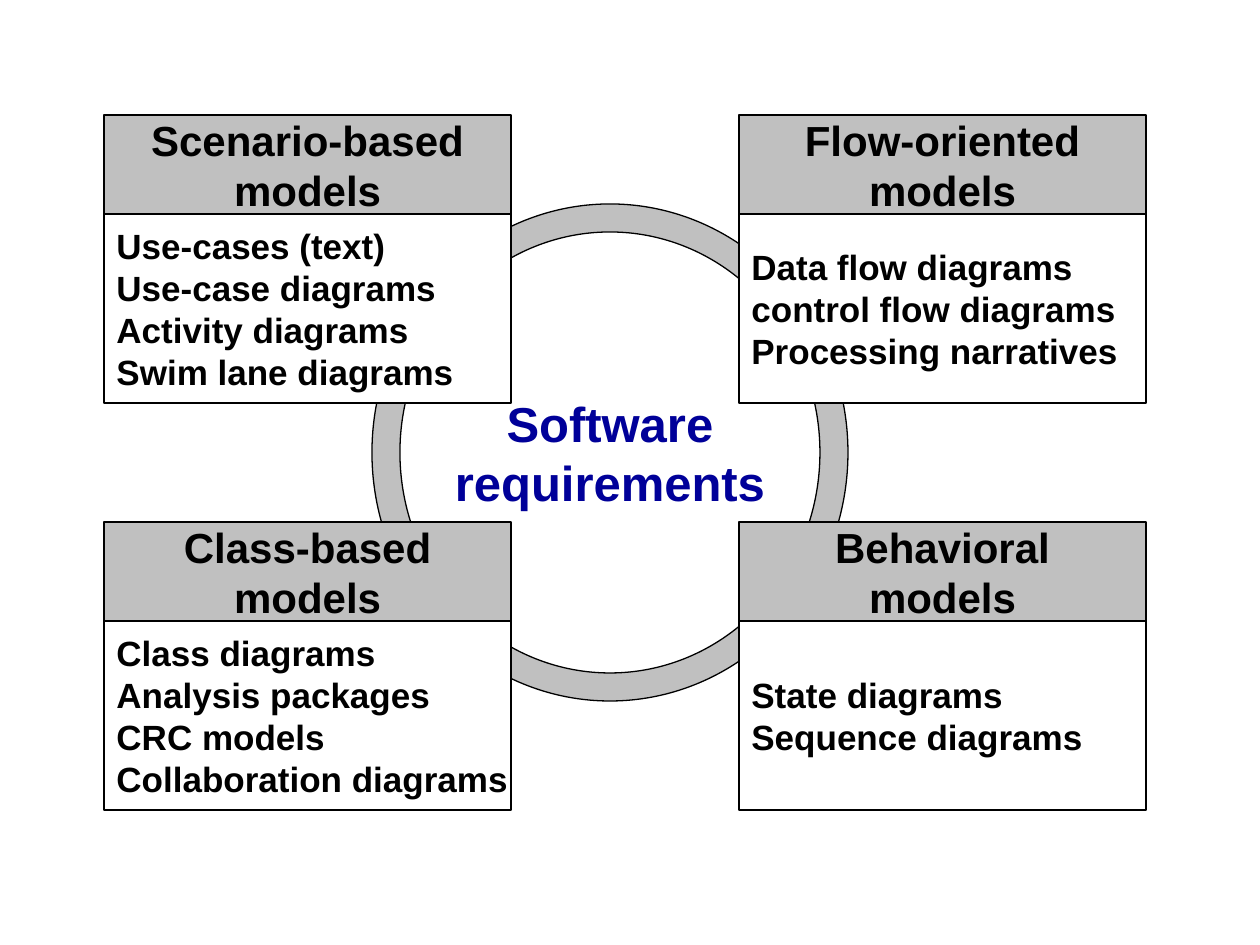
import pptx
import pptx.util
import pptx.dml.color
import pptx.enum.shapes
import pptx.enum.text

CARDS = [
    [("Scenario-based models", ["Use-cases (text)", "Use-case diagrams",
                                "Activity diagrams", "Swim lane diagrams"]),
     ("Class-based models", ["Class diagrams", "Analysis packages",
                             "CRC models", "Collaboration diagrams"])],
    [("Flow-oriented models", ["Data flow diagrams", "control flow diagrams",
                               "Processing narratives"]),
     ("Behavioral models", ["State diagrams", "Sequence diagrams"])],
]
HUB = "Software requirements"

COLORS = {"gray": "C0C0C0", "white": "FFFFFF", "black": "000000", "navy": "000099"}
LEFT, TOP, WIDE = 104, 115, 407
HEAD, BODY = 99, 189
STEP_X, STEP_Y = 635, 407
RING = (372, 204, 476, 497)
BAND = 28

KIND = pptx.enum.shapes.MSO_SHAPE
ALIGN = pptx.enum.text.PP_ALIGN
STYLES = {
    "hub": {"fill": "gray", "ink": "navy", "size": 28, "align": ALIGN.CENTER},
    "head": {"fill": "gray", "ink": "black", "size": 24, "align": ALIGN.CENTER},
    "body": {"fill": "white", "ink": "black", "size": 20, "align": ALIGN.LEFT},
}


def px(n):
    return round(n * 914400 / 126)


def rgb(name):
    return pptx.dml.color.RGBColor.from_string(COLORS[name])


def draw(slide, kind, box, lines, style):
    look = STYLES[style]
    shape = slide.shapes.add_shape(kind, *map(px, box))
    shape.shadow.inherit = False
    shape.fill.solid()
    shape.fill.fore_color.rgb = rgb(look["fill"])
    shape.line.color.rgb = rgb("black")
    shape.line.width = pptx.util.Pt(0.75)
    frame = shape.text_frame
    frame.word_wrap = False
    frame.vertical_anchor = pptx.enum.text.MSO_ANCHOR.MIDDLE
    frame.text = "\n".join(lines)
    font = {"name": "Arial", "bold": True, "size": pptx.util.Pt(look["size"])}
    for para in frame.paragraphs:
        para.alignment = look["align"]
        for run in para.runs:
            for key, value in font.items():
                setattr(run.font, key, value)
            run.font.color.rgb = rgb(look["ink"])
    return shape


def main():
    deck = pptx.Presentation()
    deck.slide_width, deck.slide_height = px(1260), px(945)
    slide = deck.slides.add_slide(deck.slide_layouts[6])
    ring = draw(slide, KIND.DONUT, RING, HUB.split(), "hub")
    ring.adjustments[0] = BAND / RING[2]
    for col, stack in enumerate(CARDS):
        for row, (title, items) in enumerate(stack):
            x, y = LEFT + col * STEP_X, TOP + row * STEP_Y
            draw(slide, KIND.RECTANGLE, (x, y, WIDE, HEAD), title.split(), "head")
            draw(slide, KIND.RECTANGLE, (x, y + HEAD, WIDE, BODY), items, "body")
    deck.save("out.pptx")


if __name__ == "__main__":
    main()
